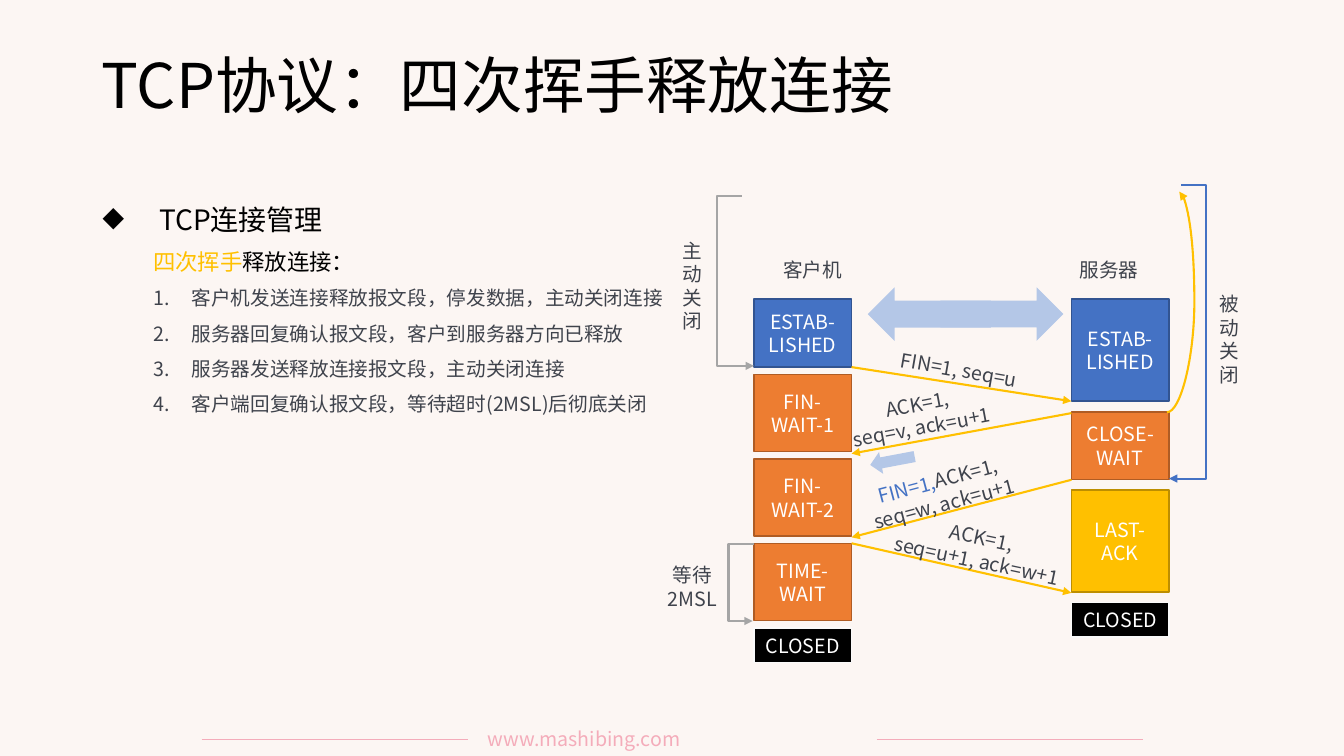
from dataclasses import dataclass
from typing import Optional

from lxml.etree import SubElement
from pptx import Presentation
from pptx.dml.color import RGBColor
from pptx.enum.shapes import MSO_CONNECTOR, MSO_SHAPE
from pptx.enum.text import MSO_ANCHOR, PP_ALIGN
from pptx.oxml.ns import qn
from pptx.shapes.autoshape import Shape
from pptx.slide import Slide
from pptx.text.text import TextFrame
from pptx.util import Cm, Pt

FONT = "Noto Sans CJK SC"
CREAM = RGBColor(0xFC, 0xF6, 0xF3)
PINK = RGBColor(0xF4, 0xAC, 0xBA)
BLACK = RGBColor(0, 0, 0)
WHITE = RGBColor(0xFF, 0xFF, 0xFF)
OFF_WHITE = RGBColor(0xFA, 0xFA, 0xFA)
INK = RGBColor(0x3F, 0x43, 0x4C)
GREY = RGBColor(0xA5, 0xA5, 0xA5)
BLUE = RGBColor(0x44, 0x72, 0xC4)
DARK_BLUE = RGBColor(0x32, 0x54, 0x91)
PALE_BLUE = RGBColor(0xB4, 0xC7, 0xE7)
ORANGE = RGBColor(0xED, 0x7D, 0x31)
DARK_ORANGE = RGBColor(0xAF, 0x5C, 0x24)
GOLD = RGBColor(0xFF, 0xC0, 0x00)
DARK_GOLD = RGBColor(0xBD, 0x8E, 0x00)

CLIENT_X, SERVER_X, STATES_TOP, STATE_WIDTH = 19.0, 27.0, 7.54, 2.46
CLIENT_EDGE = CLIENT_X + STATE_WIDTH


@dataclass
class State:
    name: str
    height: float
    fill: RGBColor
    border: RGBColor


@dataclass
class Label:
    text: str
    left: float
    top: float
    width: float
    height: float
    rotation: float = 0
    lead: str = ""


@dataclass
class Link:
    x1: float
    y1: float
    x2: float
    y2: float
    colour: RGBColor = GOLD
    kind: MSO_CONNECTOR = MSO_CONNECTOR.STRAIGHT
    via: Optional[float] = None
    weight: float = 1.5
    arrow: bool = True


@dataclass
class BlockArrow:
    left: float
    top: float
    width: float
    height: float
    rotation: float = 0


@dataclass
class Point:
    text: str
    size: float
    colour: RGBColor
    margin: float
    hanging: float = 0
    marker: str = ""
    lead: str = ""


CLIENT_STATES = [
    State("ESTAB-\nLISHED", 1.71, BLUE, DARK_BLUE),
    State("FIN-\nWAIT-1", 1.94, ORANGE, DARK_ORANGE),
    State("FIN-\nWAIT-2", 1.94, ORANGE, DARK_ORANGE),
    State("TIME-\nWAIT", 1.94, ORANGE, DARK_ORANGE),
    State("CLOSED", 0.86, BLACK, OFF_WHITE),
]
SERVER_STATES = [
    State("ESTAB-\nLISHED", 2.57, BLUE, DARK_BLUE),
    State("CLOSE-WAIT", 1.7, ORANGE, DARK_ORANGE),
    State("LAST-\nACK", 2.57, GOLD, DARK_GOLD),
    State("CLOSED", 0.86, BLACK, OFF_WHITE),
]
LABELS = [
    Label("客户机", 19.25, 6.38, 2.46, 0.86),
    Label("服务器", 26.72, 6.38, 2.46, 0.86),
    Label("主动关闭", 16.84, 5.89, 1.19, 2.64),
    Label("被动关闭", 30.38, 7.24, 1.19, 2.64),
    Label("等待\n2MSL", 16.54, 14.07, 1.83, 1.45),
    Label("FIN=1, seq=u", 22.38, 8.89, 3.58, 0.86, 9.9),
    Label("ACK=1,\nseq=v, ack=u+1", 20.8, 9.75, 4.75, 1.45, -10.7),
    Label("FIN=1,ACK=1,\nseq=w, ack=u+1", 21.34, 11.68, 4.75, 1.45, -14.9, "FIN=1,"),
    Label("ACK=1,\nseq=u+1, ack=w+1", 22.3, 13.11, 4.75, 1.45, 12.1),
]
LINKS = [
    Link(5.08, 18.62, 11.79, 18.62, PINK, weight=0.5, arrow=False),
    Link(22.1, 18.62, 28.8, 18.62, PINK, weight=0.5, arrow=False),
    Link(18.69, 4.95, CLIENT_X, 9.22, GREY, MSO_CONNECTOR.ELBOW, 18.06),
    Link(29.77, 4.67, 29.46, 12.06, BLUE, MSO_CONNECTOR.ELBOW, 30.4),
    Link(CLIENT_X, 13.72, 18.97, 15.65, GREY, MSO_CONNECTOR.ELBOW, 18.36),
    Link(29.41, 10.39, 29.72, 4.83, GOLD, MSO_CONNECTOR.CURVE, 30.1),
    Link(CLIENT_EDGE, 9.25, SERVER_X, 10.11),
    Link(SERVER_X, 10.41, CLIENT_EDGE, 11.43),
    Link(SERVER_X, 12.09, CLIENT_EDGE, 13.54),
    Link(CLIENT_EDGE, 13.69, SERVER_X, 14.94),
]
BLOCK_ARROWS = [
    BlockArrow(23.7, 7.24, 3.1, 1.35),
    BlockArrow(21.87, 7.24, 3.1, 1.35, 180),
    BlockArrow(21.92, 11.33, 1.14, 0.56, 169.3),
]
STEPS = [
    "客户机发送连接释放报文段，停发数据，主动关闭连接",
    "服务器回复确认报文段，客户到服务器方向已释放",
    "服务器发送释放连接报文段，主动关闭连接",
    "客户端回复确认报文段，等待超时(2MSL)后彻底关闭",
]
POINTS = [
    Point("TCP连接管理", 20, BLACK, 1.42, 1.42, "◆"),
    Point("四次挥手释放连接：", 16, BLACK, 1.27, lead="四次挥手"),
    *(Point(step, 14, INK, 2.24, 0.97, "1.") for step in STEPS),
]


def write(frame: TextFrame, text: str, *, size: float = 14, colour: RGBColor = INK,
          align: PP_ALIGN = PP_ALIGN.CENTER, anchor: MSO_ANCHOR = MSO_ANCHOR.TOP,
          lead: str = "", lead_colour: RGBColor = BLUE, spacing: Optional[float] = None,
          before: float = 0, margin: float = 0, hanging: float = 0, marker: str = "") -> None:
    frame.word_wrap = True
    frame.vertical_anchor = anchor
    for line in text.split("\n"):
        first = frame.paragraphs[0]
        is_first = not first.runs
        paragraph = first if is_first else frame.add_paragraph()
        paragraph.alignment = align
        paragraph.line_spacing = spacing
        if before and not is_first:
            paragraph.space_before = Pt(before)
        properties = paragraph._p.get_or_add_pPr()
        properties.set("marL", str(Cm(margin)))
        properties.set("indent", str(-Cm(hanging)))
        if marker == "1.":
            SubElement(properties, qn("a:buAutoNum"), type="arabicPeriod")
        elif marker:
            SubElement(properties, qn("a:buChar"), char=marker)
        pieces = [(line, colour)]
        if lead and line.startswith(lead):
            pieces = [(lead, lead_colour), (line[len(lead):], colour)]
        for words, shade in pieces:
            run = paragraph.add_run()
            run.text = words
            run.font.size = Pt(size)
            run.font.color.rgb = shade
            run.font.name = FONT
            SubElement(run._r.get_or_add_rPr(), qn("a:ea"), typeface=FONT)


def add_text_area(slide: Slide, left: float, top: float, width: float, height: float) -> Shape:
    return slide.shapes.add_textbox(Cm(left), Cm(top), Cm(width), Cm(height))


def add_block(slide: Slide, preset: MSO_SHAPE, left: float, top: float, width: float,
              height: float, fill: RGBColor) -> Shape:
    block = slide.shapes.add_shape(preset, Cm(left), Cm(top), Cm(width), Cm(height))
    block.shadow.inherit = False
    block.fill.solid()
    block.fill.fore_color.rgb = fill
    return block


def draw_states(slide: Slide, states: list[State], left: float, gap: float) -> None:
    top = STATES_TOP
    for state in states:
        block = add_block(slide, MSO_SHAPE.RECTANGLE, left, top, STATE_WIDTH, state.height, state.fill)
        block.line.color.rgb = state.border
        block.line.width = Pt(1)
        write(block.text_frame, state.name, colour=WHITE, anchor=MSO_ANCHOR.MIDDLE)
        top += state.height + gap


def draw_link(slide: Slide, link: Link) -> None:
    connector = slide.shapes.add_connector(
        link.kind, Cm(link.x1), Cm(link.y1), Cm(link.x2), Cm(link.y2))
    connector.line.color.rgb = link.colour
    connector.line.width = Pt(link.weight)
    properties = connector._element.spPr
    if link.arrow:
        SubElement(properties.find(qn("a:ln")), qn("a:tailEnd"), type="triangle")
    SubElement(properties, qn("a:effectLst"))
    if link.via is not None:
        bend = round((link.via - link.x1) / (link.x2 - link.x1) * 100000)
        guides = properties.find(qn("a:prstGeom")).find(qn("a:avLst"))
        SubElement(guides, qn("a:gd"), name="adj1", fmla=f"val {bend}")


def main() -> None:
    presentation = Presentation()
    presentation.slide_width, presentation.slide_height = Cm(33.87), Cm(19.05)
    slide = presentation.slides.add_slide(presentation.slide_layouts[6])
    slide.background.fill.solid()
    slide.background.fill.fore_color.rgb = CREAM

    website = add_text_area(slide, 12.04, 18.19, 9.78, 0.86)
    write(website.text_frame, "www.mashibing.com", colour=PINK, align=PP_ALIGN.JUSTIFY)
    title = add_text_area(slide, 2.31, 0.74, 29.21, 3)
    write(title.text_frame, "TCP协议：四次挥手释放连接", size=44, colour=BLACK,
          align=PP_ALIGN.LEFT, anchor=MSO_ANCHOR.MIDDLE, spacing=0.9)
    outline = add_text_area(slide, 2.34, 5.08, 29.21, 12.95)
    for point in POINTS:
        write(outline.text_frame, point.text, size=point.size, colour=point.colour,
              align=PP_ALIGN.LEFT, lead=point.lead, lead_colour=GOLD, spacing=0.9, before=10,
              margin=point.margin, hanging=point.hanging, marker=point.marker)

    draw_states(slide, CLIENT_STATES, CLIENT_X, 0.19)
    draw_states(slide, SERVER_STATES, SERVER_X, 0.27)
    for link in LINKS:
        draw_link(slide, link)
    for arrow in BLOCK_ARROWS:
        block = add_block(slide, MSO_SHAPE.RIGHT_ARROW, arrow.left, arrow.top,
                          arrow.width, arrow.height, PALE_BLUE)
        block.line.fill.background()
        block.rotation = arrow.rotation
    for label in LABELS:
        area = add_text_area(slide, label.left, label.top, label.width, label.height)
        area.rotation = label.rotation
        write(area.text_frame, label.text, lead=label.lead)
    presentation.save("out.pptx")


if __name__ == "__main__":
    main()
